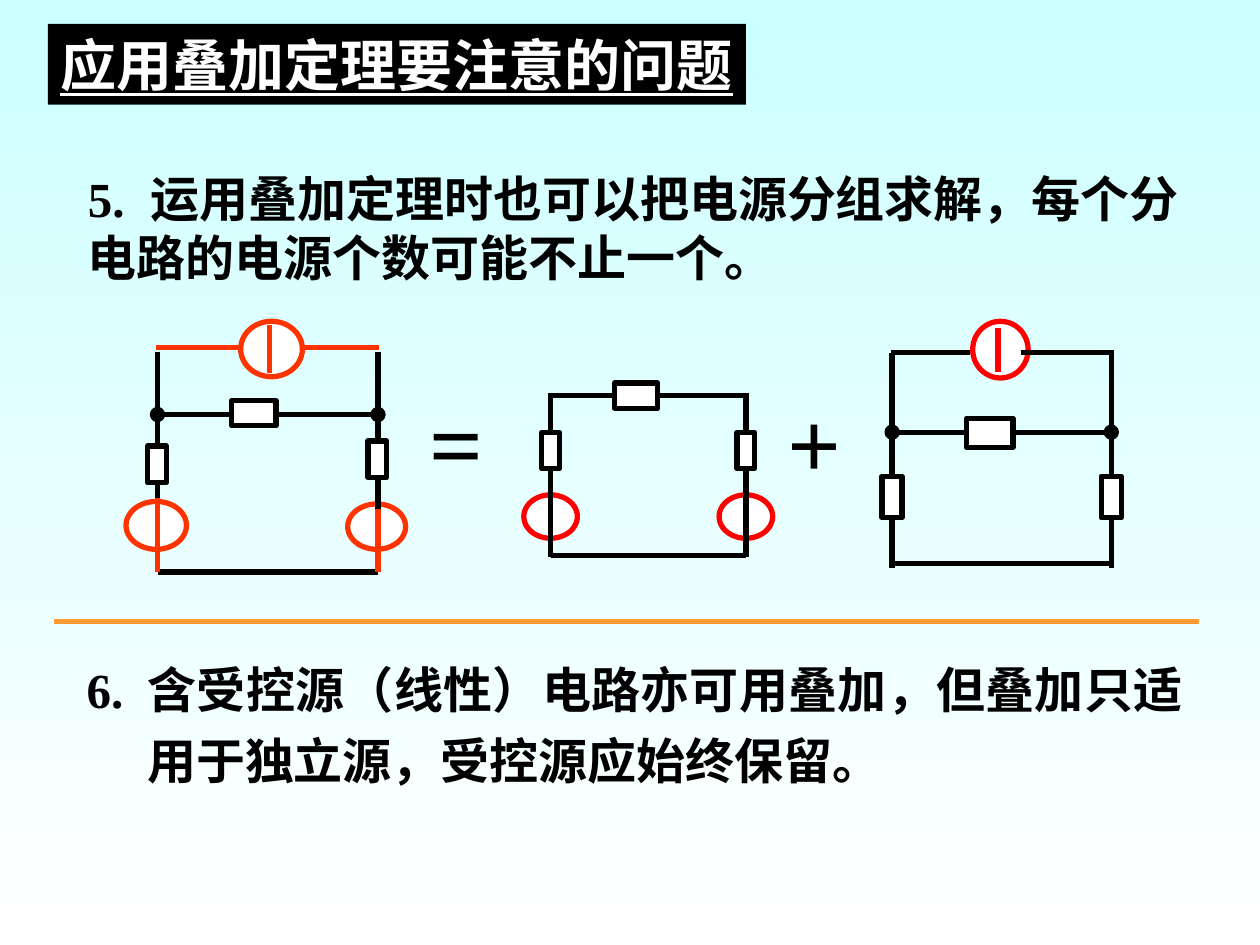
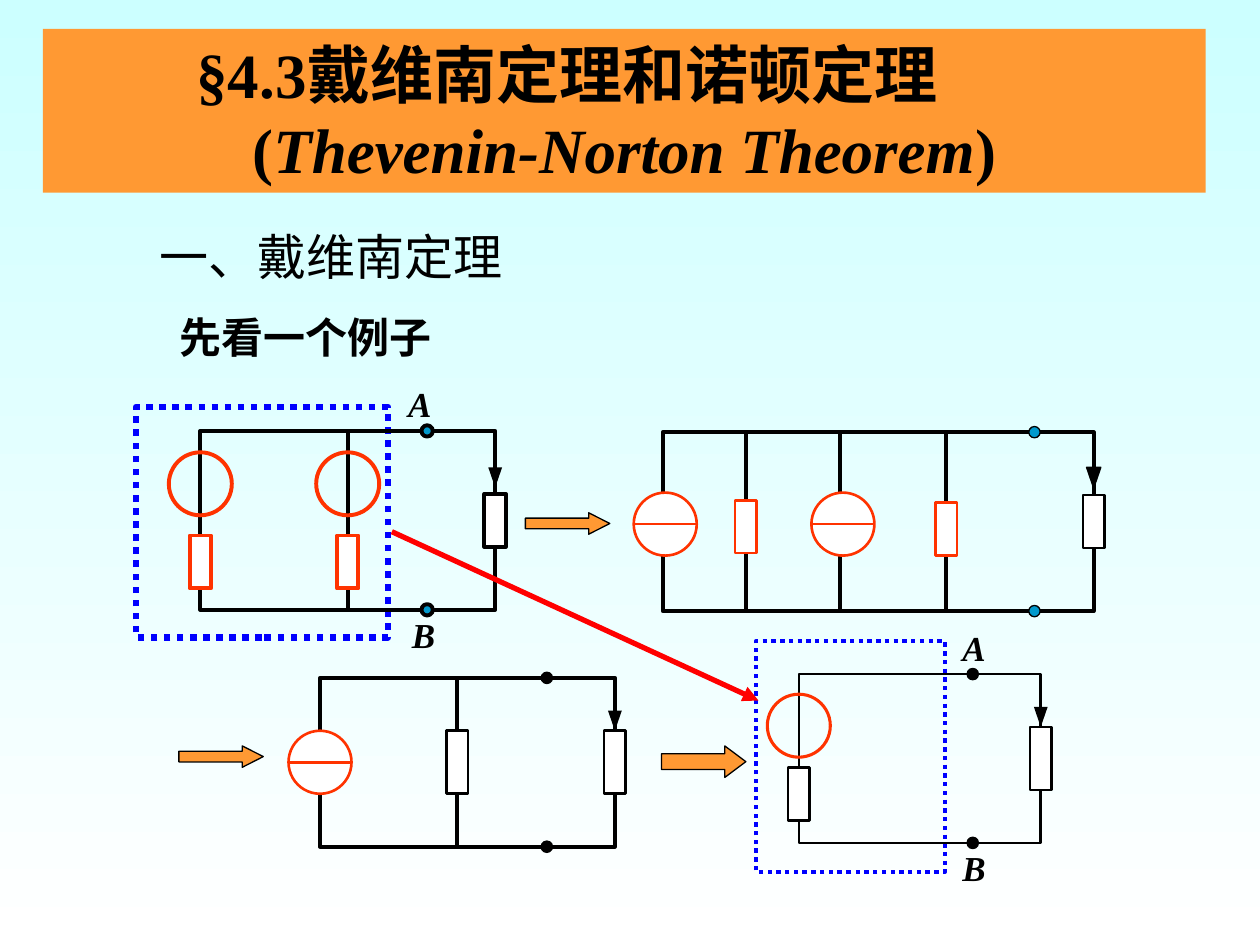
from lxml.etree import SubElement
from pptx import Presentation
from pptx.dml.color import RGBColor
from pptx.enum.dml import MSO_LINE
from pptx.enum.shapes import MSO_CONNECTOR, MSO_SHAPE
from pptx.enum.text import MSO_ANCHOR, PP_ALIGN
from pptx.oxml.ns import qn
from pptx.util import Inches, Pt

BLACK, WHITE, RED, VERMILION = "000000", "FFFFFF", "FF0000", "FF3300"
ORANGE, BLUE, TEAL, SKY = "FF9933", "0000FF", "0099CC", "CCFFFF"
SERIF, SANS = "Times New Roman", "DejaVu Sans"
COLS, ROWS = 100, 75
SLIDE_W, SLIDE_H = Inches(10), Inches(7.5)


def rgb(hex_color):
    """Turn a hex string into a colour."""
    return RGBColor.from_string(hex_color)


def col(n):
    """Length of n grid columns."""
    return round(n * SLIDE_W / COLS)


def row(n):
    """Length of n grid rows."""
    return round(n * SLIDE_H / ROWS)


def place(x, y, w, h):
    """Turn a grid box into slide lengths."""
    return col(x), row(y), col(w), row(h)


def paint(sp, fill=None, line=None, width=3):
    """Set the fill and outline of a shape."""
    sp.shadow.inherit = False
    if fill:
        sp.fill.solid()
        sp.fill.fore_color.rgb = rgb(fill)
    else:
        sp.fill.background()
    if line:
        sp.line.color.rgb = rgb(line)
        sp.line.width = Pt(width)
    else:
        sp.line.fill.background()
    return sp


def shape(s, kind, box, **look):
    """Add a painted preset shape."""
    return paint(s.shapes.add_shape(kind, *place(*box)), **look)


def centred(s, kind, cx, cy, w, h, **look):
    """Add a painted shape around its centre."""
    return shape(s, kind, (cx - w / 2, cy - h / 2, w, h), **look)


def resistor(s, cx, cy, w, h, line=BLACK, width=3):
    """Add a white resistor."""
    return centred(s, MSO_SHAPE.RECTANGLE, cx, cy, w, h, fill=WHITE, line=line, width=width)


def source(s, cx, cy, w=5, h=5, fill=WHITE, line=VERMILION, width=3):
    """Add the circle of a source."""
    return centred(s, MSO_SHAPE.OVAL, cx, cy, w, h, fill=fill, line=line, width=width)


def dot(s, cx, cy, size=0.9, fill=BLACK, width=0.75):
    """Add a node or terminal."""
    return centred(s, MSO_SHAPE.OVAL, cx, cy, size, size, fill=fill, line=BLACK, width=width)


def wire(s, x1, y1, x2, y2, color=BLACK, width=3):
    """Add a straight line."""
    c = s.shapes.add_connector(MSO_CONNECTOR.STRAIGHT, col(x1), row(y1), col(x2), row(y2))
    c.line.color.rgb = rgb(color)
    c.line.width = Pt(width)
    SubElement(c._element.spPr, qn("a:effectLst"))
    return c


def write(sp, *paras, size=28, font=SERIF, color=BLACK, bold=True, italic=False, underline=False,
          align=PP_ALIGN.LEFT, anchor=MSO_ANCHOR.TOP, wrap=True, spacing=None):
    """Write paragraphs, each a string or a list of (text, italic) runs."""
    tf = sp.text_frame
    tf.word_wrap = wrap
    tf.vertical_anchor = anchor
    for i, para in enumerate(paras):
        p = tf.add_paragraph() if i else tf.paragraphs[0]
        p.alignment = align
        if spacing:
            p.line_spacing = spacing
        for text, slanted in [(para, italic)] if isinstance(para, str) else para:
            r = p.add_run()
            r.text = text
            f = r.font
            f.name, f.size, f.bold, f.italic, f.underline = font, Pt(size), bold, slanted, underline
            f.color.rgb = rgb(color)
    return tf


def textbox(s, box, *paras, **form):
    """Add a text box on the grid."""
    return write(s.shapes.add_textbox(*place(*box)), *paras, **form)


def indent(p, left=0, first=0, tab=None):
    """Set the indents and the tab stop of a paragraph, in columns."""
    pPr = p._p.get_or_add_pPr()
    pPr.set("marL", str(col(left)))
    pPr.set("indent", str(col(first)))
    if tab:
        stops = SubElement(pPr, qn("a:tabLst"))
        SubElement(stops, qn("a:tab"), pos=str(col(tab)), algn="l")


def new_slide(prs):
    """Add a blank slide with the shared background."""
    s = prs.slides.add_slide(prs.slide_layouts[6])
    fill = s.background.fill
    fill.gradient()
    fill.gradient_angle = 270
    for stop, color, position in zip(fill.gradient_stops, (SKY, WHITE), (0, 1)):
        stop.color.rgb = rgb(color)
        stop.position = position
    return s


def title_band(s, box, fill, *paras, **form):
    """Add a filled band holding the title."""
    return write(shape(s, MSO_SHAPE.RECTANGLE, box, fill=fill), *paras, **form)


def full_circuit(s, x, y, w, h):
    """Draw the circuit with all three sources."""
    right, bottom, node_y, top = x + w, y + h, y + 7.4, y + 2.1
    wire(s, x, node_y, x, bottom - 5.9)
    wire(s, x, node_y, right, node_y)
    wire(s, x, bottom, right, bottom)
    source(s, x - 0.1, bottom - 3.7, 4.8, 3.8)
    wire(s, x, bottom - 5.9, x, bottom, VERMILION)
    resistor(s, x - 0.05, y + 11.35, 1.5, 2.9)
    source(s, right - 0.1, bottom - 3.6, 4.6, 3.6)
    wire(s, right, node_y, right, bottom - 4.2)
    resistor(s, right - 0.05, y + 10.95, 1.5, 2.9)
    wire(s, right, bottom - 5, right, bottom, VERMILION)
    resistor(s, x + 7.65, node_y - 0.1, 3.5, 2)
    source(s, x + 9.05, y + 2.2, 4.9, 4.4)
    wire(s, x + 8.9, y + 0.3, x + 8.9, y + 4.1, VERMILION)
    wire(s, x + 11.3, top, right + 0.1, top, VERMILION)
    wire(s, x + 6.4, top, x - 0.1, top, VERMILION)
    for node_x in (x, right):
        wire(s, node_x, y + 2.4, node_x, y + 8)
        dot(s, node_x, node_y, 0.8, width=3)


def voltage_circuit(s, x, y, w, h):
    """Draw the part circuit with two voltage sources."""
    wire(s, x - 0.1, y, x + w, y)
    wire(s, x, y + h, x + w, y + h)
    for side in (x, x + w):
        source(s, side, y + 9.6, 4.25, 3.45, line=RED)
        wire(s, side, y - 0.2, side, y + h + 0.1)
        resistor(s, side, y + 4.35, 1.4, 2.9)
    resistor(s, x + 6.8, y, 3.4, 2)


def current_circuit(s, x, y, w, h):
    """Draw the part circuit with one current source."""
    right, node_y = x + w, y + 6.3
    source(s, x + 8.6, y - 0.25, 4.4, 4.5, line=RED)
    wire(s, x + 8.4, y - 2, x + 8.4, y + 1.5, RED)
    wire(s, x, node_y, right, node_y)
    wire(s, x, y + h, right, y + h)
    wire(s, x + 10.2, y, right + 0.2, y)
    wire(s, x + 6.2, y, x - 0.1, y)
    for side in (x, right):
        wire(s, side, y, side, y + h + 0.4)
        resistor(s, side, y + 11.45, 1.6, 3.3)
        dot(s, side, node_y, 0.8, width=3)
    resistor(s, x + 7.75, node_y + 0.05, 3.7, 2.3)


def superposition(s, x, y):
    """Draw the sum of circuits."""
    full_circuit(s, x, y, 17.5, 19.9)
    textbox(s, (x + 20.6, y + 4.5, 6.3, 10), "=", size=54, wrap=False)
    voltage_circuit(s, x + 31.2, y + 5.9, 15.5, 12.7)
    textbox(s, (x + 49, y + 4.5, 6.3, 10), "+", size=54, wrap=False)
    current_circuit(s, x + 58.3, y + 2.5, 17.4, 16.7)


def current_arrow(s, x, tip, line=None):
    """Draw an arrow pointing down to its tip."""
    wire(s, x, tip - 3.4, x, tip - 1.6, width=0.75)
    fb = s.shapes.build_freeform(col(x - 0.55), row(tip - 1.6))
    fb.add_line_segments([(col(x), row(tip)), (col(x + 0.55), row(tip - 1.6))], close=True)
    paint(fb.convert_to_shape(), fill=BLACK, line=line, width=1)


def loop(s, x, y, w, h, terminal, load_h=5, tip=4.2, width=2.25, load_width=1.5,
         dot_fill=BLACK, dot_width=0.75, arrow_line=None, labels=()):
    """Draw a closed loop with a load, its current and two terminals."""
    frame = shape(s, MSO_SHAPE.RECTANGLE, (x, y, w, h), line=BLACK, width=width)
    resistor(s, x + w, y + h / 2, 1.7, load_h, width=load_width)
    current_arrow(s, x + w, y + tip, arrow_line)
    for node_y in (y, y + h):
        dot(s, x + terminal, node_y, fill=dot_fill, width=dot_width)
    for name, dx, label_y in zip("AB", labels, (y - 2.1, y + h + 2)):
        textbox(s, (x + terminal + dx - 1.9, label_y - 2.2, 3.8, 4.4), name, size=20,
                italic=True, align=PP_ALIGN.CENTER, wrap=False)
    return frame


def voltage_pair(s, x, y, w, h):
    """Draw two voltage sources in parallel feeding the load."""
    frame = loop(s, x, y, w, h, 18, load_h=4.2, tip=4.5, load_width=2.25, dot_fill=TEAL,
                 dot_width=2.25, labels=(-0.6, -0.3))
    branch = wire(s, x + w / 2, y, x + w / 2, y + h, width=2.25)
    branch.begin_connect(frame, 0)
    branch.end_connect(frame, 2)
    for cx in (x, x + w / 2):
        source(s, cx, y + 4.2, fill=None, width=2.25)
        resistor(s, cx, y + 10.4, 1.7, 4.2, VERMILION, 2.25)


def current_source(s, cx, cy):
    """Draw a current source with its bar."""
    source(s, cx, cy, width=1.5)
    wire(s, cx - 2.5, cy, cx + 2.5, cy, VERMILION, 1.5)


def current_pair(s, x, y, w, h):
    """Draw two current sources in parallel feeding the load."""
    loop(s, x, y, w, h, 29.5, load_h=4.2, tip=4.4, dot_fill=TEAL, arrow_line=BLACK)
    for dx in (6.6, 14.1, 22.5):
        wire(s, x + dx, y, x + dx, y + h, width=2.25)
    for dx in (0.2, 14.3):
        current_source(s, x + dx, y + 7.3)
    for dx, dy in ((6.6, 7.5), (22.5, 7.7)):
        resistor(s, x + dx, y + dy, 1.7, 4.2, VERMILION, 1.5)


def merged_current(s, x, y, w, h):
    """Draw the single equivalent current source."""
    loop(s, x, y, w, h, 18)
    wire(s, x + 10.9, y, x + 10.9, y + h, width=2.25)
    current_source(s, x, y + h / 2)
    resistor(s, x + 10.9, y + h / 2, 1.7, 5, width=1.5)


def equivalent_voltage(s, x, y, w, h):
    """Draw the single equivalent voltage source."""
    loop(s, x, y, w, h, 13.8, width=1.5, labels=(0.1, 0.1))
    source(s, x, y + 4.1, fill=None, width=1.75)
    resistor(s, x, y + 9.5, 1.7, 4.2, width=1.5)


def dotted_box(s, box, width):
    """Outline a part of a circuit with dots."""
    shape(s, MSO_SHAPE.RECTANGLE, box, line=BLUE, width=width).line.dash_style = MSO_LINE.ROUND_DOT


def step_arrow(s, x, y, h):
    """Add a block arrow to the next step."""
    sp = shape(s, MSO_SHAPE.RIGHT_ARROW, (x, y, 6.7, h), fill=ORANGE, line=BLACK, width=0.75)
    sp.adjustments[1] = 1.67 / h


def notes_slide(prs):
    """Build the slide on points to watch."""
    s = new_slide(prs)
    tf = textbox(s, (6, 12.9, 90.4, 10.4),
                 "5.\t运用叠加定理时也可以把电源分组求解，每个分 电路的电源个数可能不止一个。")
    indent(tf.paragraphs[0], tab=5.8)
    wire(s, 4.3, 49.3, 95.2, 49.3, ORANGE)
    superposition(s, 12.5, 25.5)
    tf = textbox(s, (5.9, 50.9, 89, 12.2),
                 "6.\t含受控源（线性）电路亦可用叠加，但叠加只适用于独立源，受控源应始终保留。",
                 align=PP_ALIGN.JUSTIFY, anchor=MSO_ANCHOR.MIDDLE, spacing=1.2)
    indent(tf.paragraphs[0], left=4.8, first=-4.8)
    title_band(s, (3.8, 1.9, 55.4, 6.4), BLACK, "应用叠加定理要注意的问题", size=32,
               color=WHITE, underline=True, wrap=False)


def theorem_slide(prs):
    """Build the slide that opens the theorem section."""
    s = new_slide(prs)
    textbox(s, (11.7, 17.5, 70.8, 5.7), "一、戴维南定理", font=SANS, bold=False)
    textbox(s, (13.3, 24.2, 30.8, 5), "先看一个例子", size=24)
    for x, y, h in ((41.7, 40.7, 1.7), (14.2, 59.2, 1.7), (52.5, 59.2, 2.5)):
        step_arrow(s, x, y, h)
    dotted_box(s, (60, 50.9, 15, 18.3), 2.5)
    dotted_box(s, (10.8, 32.3, 20, 18.3), 3.75)
    voltage_pair(s, 15.9, 34.2, 23.4, 14.2)
    current_pair(s, 52.6, 34.3, 34.2, 14.2)
    merged_current(s, 25.4, 53.8, 23.4, 13.4)
    equivalent_voltage(s, 63.4, 53.5, 19.2, 13.4)
    link = wire(s, 31.1, 42.2, 60.2, 55.6, RED)
    SubElement(link.line._get_or_add_ln(), qn("a:tailEnd"), type="triangle")
    tf = title_band(s, (3.4, 2.3, 92.3, 13), ORANGE, "§4.3\t戴维南定理和诺顿定理",
                    [("(", False), ("Thevenin-Norton Theorem", True), (")", False)],
                    size=36, align=PP_ALIGN.CENTER)
    tf.paragraphs[0].alignment = PP_ALIGN.LEFT
    indent(tf.paragraphs[0], first=11.2, tab=23.5)


def main():
    """Build and save the presentation."""
    prs = Presentation()
    prs.slide_width, prs.slide_height = SLIDE_W, SLIDE_H
    notes_slide(prs)
    theorem_slide(prs)
    prs.save("out.pptx")


if __name__ == "__main__":
    main()
